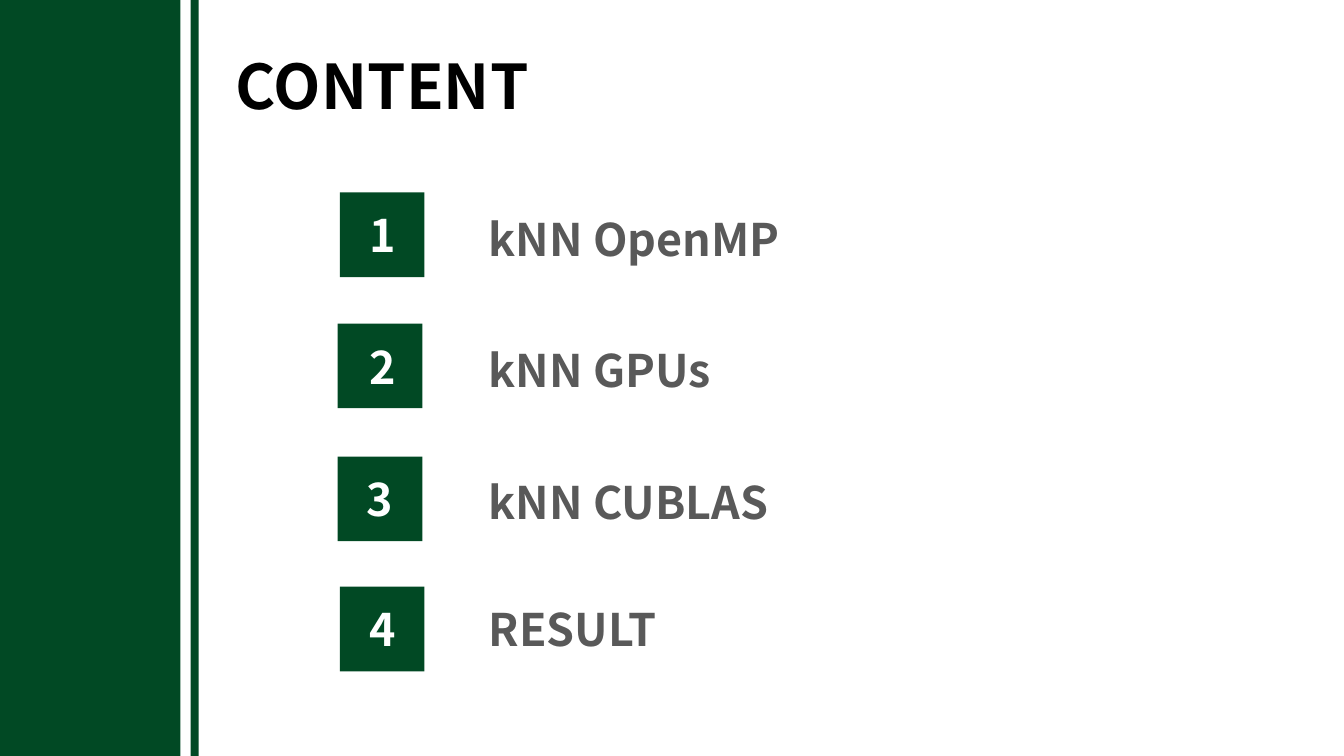
from pptx import Presentation
from pptx.dml.color import RGBColor
from pptx.enum.shapes import MSO_SHAPE
from pptx.enum.text import MSO_ANCHOR, PP_ALIGN
from pptx.util import Inches, Pt

RECTANGLE = MSO_SHAPE.RECTANGLE
TOP = MSO_ANCHOR.TOP
LEFT = PP_ALIGN.LEFT
CENTER = PP_ALIGN.CENTER

FONT = "Noto Sans CJK SC"
COLORS = {"green": "014924", "white": "FFFFFF", "gray": "595959", "black": "000000"}
TITLE_ONLY = 5
SLIDE_HEIGHT = 7.5
SQUARE_SIZE = 0.84

ENTRIES = [
    ("kNN OpenMP", 3.34, 2.05, 3.37, 1.91, 3.26, 2.01),
    ("kNN GPUs", 2.7, 3.35, 3.35, 3.21, 3.26, 3.32),
    ("kNN CUBLAS", 3.19, 4.66, 3.35, 4.53, 3.23, 4.63),
    ("RESULT", 1.89, 5.92, 3.37, 5.82, 3.26, 5.92),
]


def write_text(shape, text, size=32, color="gray", align=LEFT, wrap=True):
    frame = shape.text_frame
    frame.word_wrap = wrap
    frame.vertical_anchor = TOP
    paragraph = frame.paragraphs[0]
    paragraph.alignment = align
    run = paragraph.add_run()
    run.text = text
    run.font.name = FONT
    run.font.size = Pt(size)
    run.font.bold = True
    run.font.color.rgb = RGBColor.from_string(COLORS[color])


def add_block(shapes, left, top, width, height):
    block = shapes.add_shape(
        RECTANGLE, Inches(left), Inches(top), Inches(width), Inches(height))
    block.shadow.inherit = False
    block.fill.solid()
    block.fill.fore_color.rgb = RGBColor.from_string(COLORS["green"])
    block.line.fill.background()


def add_text(shapes, text, left, top, width, height, **text_format):
    box = shapes.add_textbox(Inches(left), Inches(top), Inches(width), Inches(height))
    write_text(box, text, **text_format)


def add_title(slide, text):
    title = slide.shapes.title
    title.left, title.top = Inches(2.24), Inches(0.43)
    title.width, title.height = Inches(3.34), Inches(0.94)
    write_text(title, text, size=44, color="black")


def add_entry(slide, number, entry):
    label, width, label_top, square_left, square_top, number_left, number_top = entry
    badge = slide.shapes.add_group_shape()
    add_block(badge.shapes, square_left, square_top, SQUARE_SIZE, SQUARE_SIZE)
    add_text(badge.shapes, str(number), number_left, number_top, 1.07, 0.64,
             color="white", align=CENTER)
    add_text(slide.shapes, label, 4.75, label_top, width, 0.64, wrap=False)


def main():
    presentation = Presentation()
    presentation.slide_width = Inches(13.33)
    presentation.slide_height = Inches(SLIDE_HEIGHT)
    slide = presentation.slides.add_slide(presentation.slide_layouts[TITLE_ONLY])
    add_title(slide, "CONTENT")
    for left, width in ((0, 1.79), (1.89, 0.08)):
        add_block(slide.shapes, left, 0, width, SLIDE_HEIGHT)
    for number, entry in enumerate(ENTRIES, start=1):
        add_entry(slide, number, entry)
    presentation.save("out.pptx")


if __name__ == "__main__":
    main()
